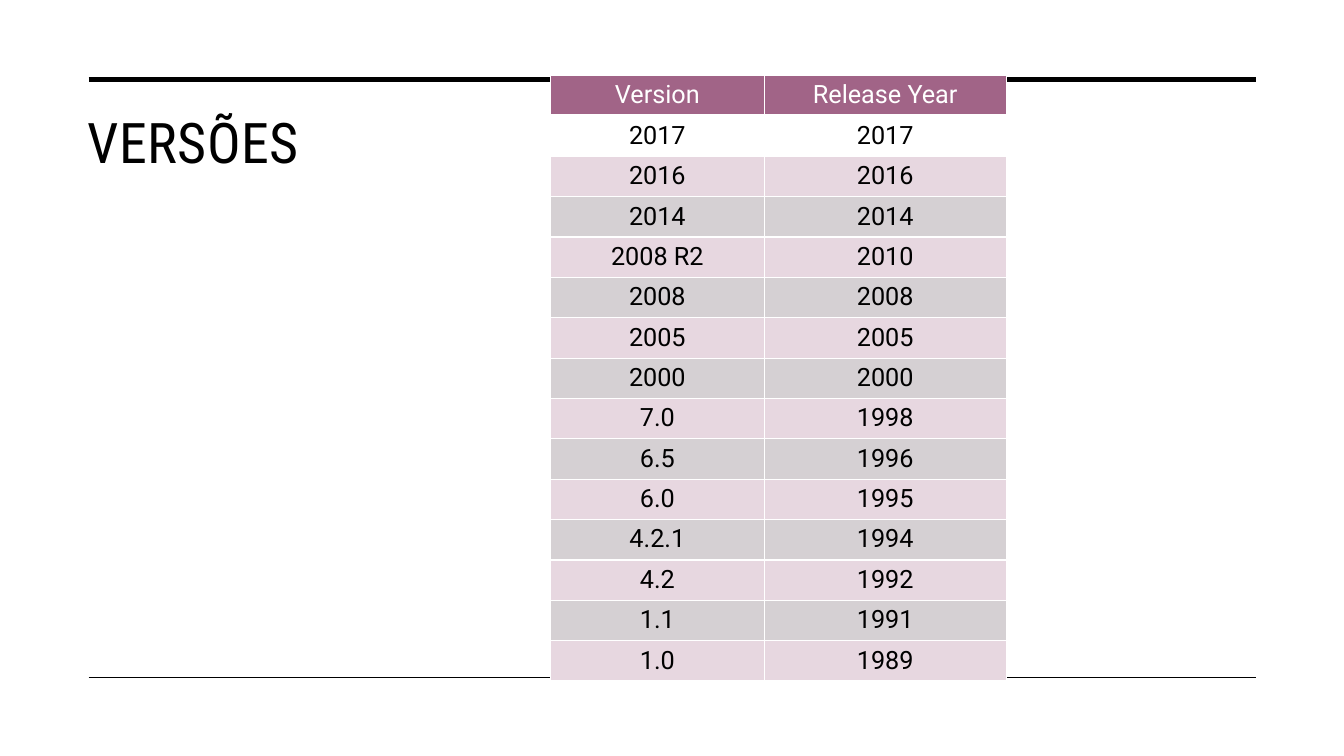
from lxml.etree import SubElement
from pptx import Presentation
from pptx.dml.color import RGBColor
from pptx.enum.shapes import MSO_CONNECTOR
from pptx.enum.text import MSO_ANCHOR, PP_ALIGN
from pptx.oxml.ns import qn
from pptx.util import Pt

EMU_PER_PX = 9144  # 100 px to the inch

BLACK = RGBColor(0x00, 0x00, 0x00)
WHITE = RGBColor(0xFF, 0xFF, 0xFF)
PLUM = RGBColor(0xA1, 0x64, 0x87)
PINK = RGBColor(0xE7, 0xD7, 0xE0)
GREY = RGBColor(0xD5, 0xD0, 0xD3)

HEADINGS = ("Version", "Release Year")
RELEASES = [
    ("2017", "2017"),
    ("2016", "2016"),
    ("2014", "2014"),
    ("2008 R2", "2010"),
    ("2008", "2008"),
    ("2005", "2005"),
    ("2000", "2000"),
    ("7.0", "1998"),
    ("6.5", "1996"),
    ("6.0", "1995"),
    ("4.2.1", "1994"),
    ("4.2", "1992"),
    ("1.1", "1991"),
    ("1.0", "1989"),
]


def px(length):
    return length * EMU_PER_PX


class SlideBuilder:
    title_font = "Roboto Condensed"
    body_font = "Roboto"

    def __init__(self, slide):
        self.slide = slide

    def style(self, paragraph, name, size, color):
        font = paragraph.font
        font.name, font.size, font.color.rgb = name, Pt(size), color

    def rule(self, left, right, y, weight):
        connector = self.slide.shapes.add_connector(
            MSO_CONNECTOR.STRAIGHT, px(left), px(y), px(right), px(y))
        connector.line.color.rgb = BLACK
        connector.line.width = Pt(weight)
        SubElement(connector._element.spPr, qn("a:effectLst"))

    def title(self, text, left, top, width, height):
        box = self.slide.shapes.add_textbox(px(left), px(top), px(width), px(height))
        frame = box.text_frame
        frame.word_wrap = True
        frame.vertical_anchor = MSO_ANCHOR.MIDDLE
        paragraph = frame.paragraphs[0]
        paragraph.line_spacing = 0.9
        run = paragraph.add_run()
        run.text = text
        self.style(paragraph, self.title_font, 40, BLACK)
        run.font._element.set("spc", "30")  # hundredths of a point

    def borders(self, cell, bottom):
        """Draw white cell edges, 1 pt wide except for the bottom one."""
        properties = cell._tc.get_or_add_tcPr()
        for side, weight in zip("LRTB", (1, 1, 1, bottom)):
            edge = SubElement(properties, qn(f"a:ln{side}"), w=str(Pt(weight)))
            fill = SubElement(edge, qn("a:solidFill"))
            SubElement(fill, qn("a:srgbClr"), val=str(WHITE))

    def cell(self, cell, text, fill, color, bottom):
        cell.text = text
        paragraph = cell.text_frame.paragraphs[0]
        paragraph.alignment = PP_ALIGN.CENTER
        self.style(paragraph, self.body_font, 18, color)
        self.borders(cell, bottom)
        if fill is None:
            cell.fill.background()
        else:
            cell.fill.solid()
            cell.fill.fore_color.rgb = fill

    def table(self, rows, left, top, column_widths, row_height):
        """Add a table with a header, a clear first row and banded rows."""
        table = self.slide.shapes.add_table(
            len(rows), len(column_widths), px(left), px(top),
            px(sum(column_widths)), px(row_height * len(rows))).table
        for column, width in zip(table.columns, column_widths):
            column.width = px(width)
        for i, row in enumerate(rows):
            table.rows[i].height = px(row_height)
            band = PINK if i % 2 == 0 else GREY
            fill = {0: PLUM, 1: None}.get(i, band)
            color, bottom = (WHITE, 3) if i == 0 else (BLACK, 1)
            for j, text in enumerate(row):
                self.cell(table.cell(i, j), text, fill, color, bottom)


def main():
    presentation = Presentation()
    presentation.slide_width = px(1333)
    presentation.slide_height = px(750)
    slide = presentation.slides.add_slide(presentation.slide_layouts[6])
    builder = SlideBuilder(slide)
    builder.rule(88, 1246, 79, 3.5)
    builder.rule(88, 1246, 672, 1)
    builder.title("VERSÕES", 77, 101, 1169, 86)
    builder.table([HEADINGS, *RELEASES], 546, 75, (212, 240), 36)
    presentation.save("out.pptx")


if __name__ == "__main__":
    main()
